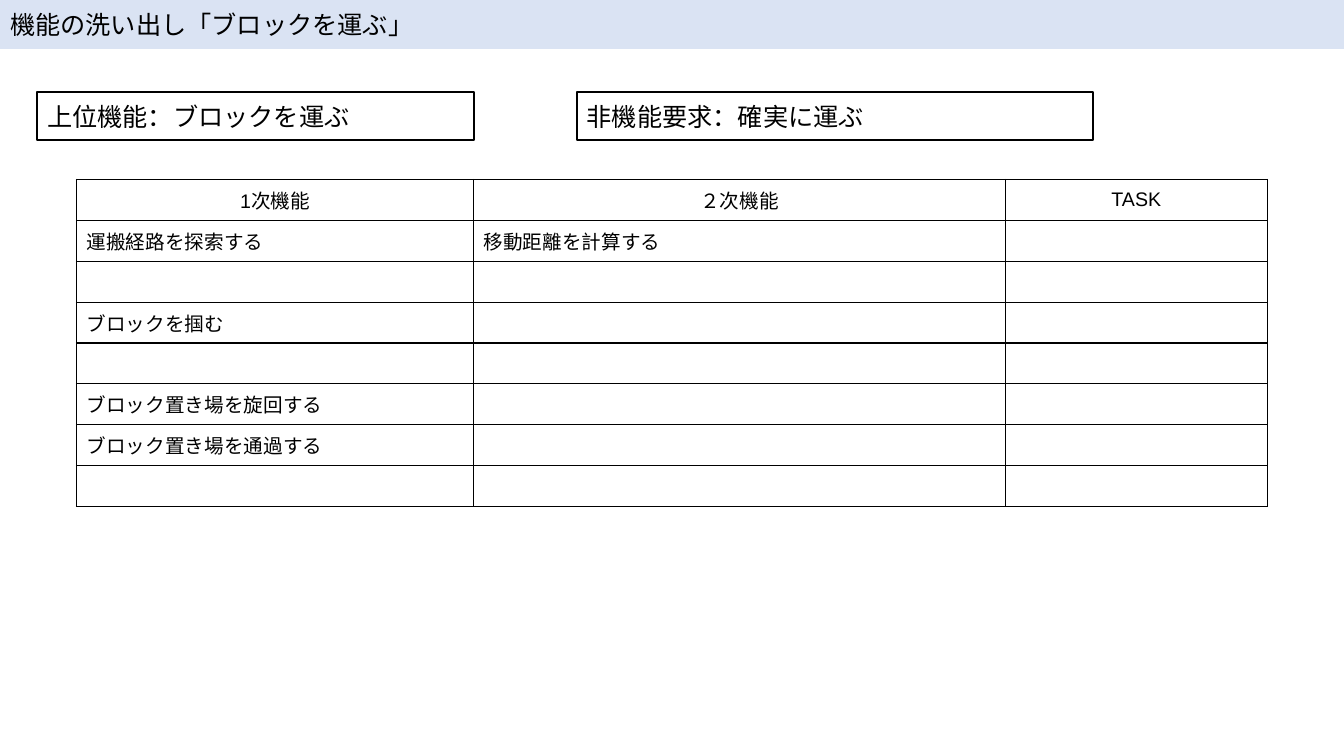
from pptx import Presentation
from pptx.dml.color import RGBColor
from pptx.enum.shapes import MSO_SHAPE as Shape
from pptx.enum.text import MSO_ANCHOR as Anchor, PP_ALIGN as Align
from pptx.oxml.ns import qn
from pptx.util import Pt
from lxml.etree import SubElement

BLACK = RGBColor(0x00, 0x00, 0x00)
WHITE = RGBColor(0xFF, 0xFF, 0xFF)
BAND = RGBColor(0xDA, 0xE3, 0xF3)
GOTHIC = "Noto Sans CJK JP"

COLS = [283.5, 380, 187]
ROWS = [
    ["1次機能", "２次機能", "TASK"],
    ["運搬経路を探索する", "移動距離を計算する", ""],
    ["", "", ""],
    ["ブロックを掴む", "", ""],
    ["", "", ""],
    ["ブロック置き場を旋回する", "", ""],
    ["ブロック置き場を通過する", "", ""],
    ["", "", ""],
]


def style(para, size, name, align=Align.LEFT):
    para.alignment = align
    font = para.font
    font.size = Pt(size)
    font.bold = False
    font.color.rgb = BLACK
    font.name = name
    # Japanese glyphs take the East Asian face
    props = para._p.pPr.find(qn("a:defRPr"))
    SubElement(props, qn("a:ea")).set("typeface", GOTHIC)


def fill(item, color):
    item.fill.solid()
    item.fill.fore_color.rgb = color


def write(shape, text):
    frame = shape.text_frame
    frame.word_wrap = True
    frame.vertical_anchor = Anchor.MIDDLE
    frame.text = text
    style(frame.paragraphs[0], 18, GOTHIC)


def add_title(slide, text):
    title = slide.shapes.title
    title.left, title.top = Pt(0), Pt(0)
    title.width, title.height = Pt(960), Pt(35)
    fill(title, BAND)
    write(title, text)


def add_box(slide, left, width, text):
    box = slide.shapes.add_shape(
        Shape.RECTANGLE, Pt(left), Pt(66), Pt(width), Pt(34))
    box.shadow.inherit = False
    fill(box, WHITE)
    box.line.color.rgb = BLACK
    box.line.width = Pt(1.5)
    write(box, text)


def add_borders(cell):
    props = cell._tc.get_or_add_tcPr()
    for spot, side in enumerate(("lnL", "lnR", "lnT", "lnB")):
        line = props.makeelement(qn("a:" + side), {"w": str(Pt(1))})
        solid = SubElement(line, qn("a:solidFill"))
        SubElement(solid, qn("a:srgbClr")).set("val", str(BLACK))
        props.insert(spot, line)


def add_grid(slide, left, top, high):
    frame = slide.shapes.add_table(
        len(ROWS), len(COLS), Pt(left), Pt(top),
        Pt(sum(COLS)), Pt(high * len(ROWS)))
    table = frame.table
    for col, width in zip(table.columns, COLS):
        col.width = Pt(width)
    for r, texts in enumerate(ROWS):
        table.rows[r].height = Pt(high)
        for c, text in enumerate(texts):
            cell = table.cell(r, c)
            cell.text = text
            cell.vertical_anchor = Anchor.MIDDLE
            align = Align.CENTER if r == 0 else Align.LEFT
            style(cell.text_frame.paragraphs[0], 14, "Arial", align)
            fill(cell, WHITE)
            add_borders(cell)


def main():
    deck = Presentation()
    deck.slide_width, deck.slide_height = Pt(960), Pt(540)
    slide = deck.slides.add_slide(deck.slide_layouts[5])

    # Title band
    add_title(slide, "機能の洗い出し「ブロックを運ぶ」")

    # Function table
    add_grid(slide, 54.7, 128.2, 29.2)

    # Parent function and its quality demand
    add_box(slide, 26.6, 312, "上位機能：ブロックを運ぶ")
    add_box(slide, 412, 369, "非機能要求：確実に運ぶ")

    deck.save("out.pptx")


if __name__ == "__main__":
    main()
